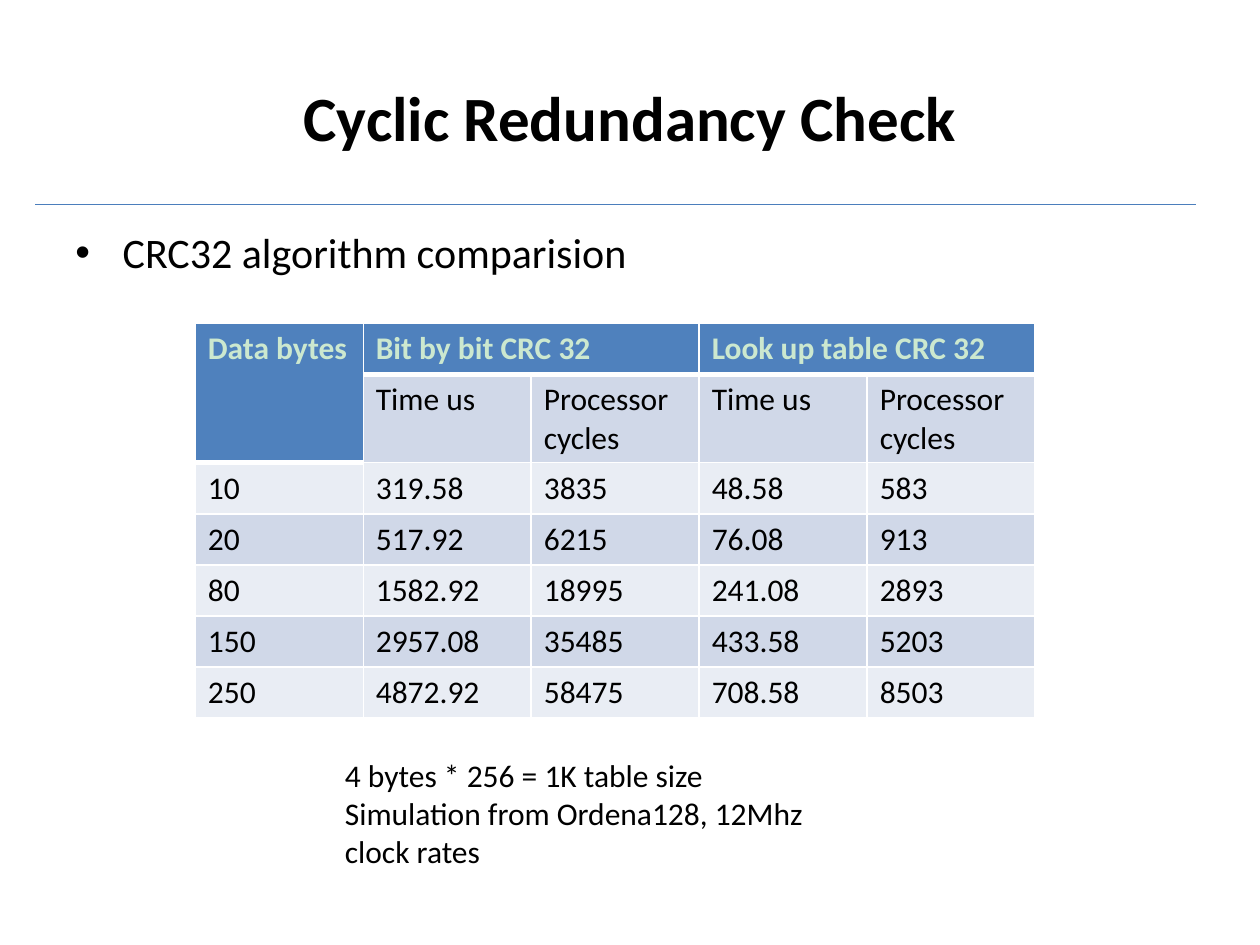
from dataclasses import dataclass

from lxml import etree
from pptx import Presentation
from pptx import util as u
from pptx.dml import color
from pptx.enum import shapes, text
from pptx.oxml import ns


@dataclass(frozen=True)
class Theme:
    """Colours, font and type sizes of the slide."""
    font: str = "Calibri"
    ink: str = "000000"
    rule: str = "4B7EBC"
    header: str = "4F81BD"
    header_ink: str = "CCE8CF"
    bands: tuple = ("E9EDF4", "D0D8E8")
    border: str = "FFFFFF"
    title: float = 36
    body: float = 24
    small: float = 18


def rgb(value):
    """Return a colour from its hex value."""
    return color.RGBColor.from_string(value)


class Deck:
    """Draw styled elements on the current slide."""

    def __init__(self, prs, theme):
        """Add a blank slide."""
        self.theme = theme
        self.s = prs.slides.add_slide(prs.slide_layouts[6])

    def run(self, p, content, size, ink=None, bold=False):
        """Add one styled run to a paragraph."""
        r = p.add_run()
        r.text = content
        r.font.name, r.font.size, r.font.bold = self.theme.font, u.Pt(size), bold
        r.font.color.rgb = rgb(ink or self.theme.ink)

    def text(self, box, lines, size, bold=False, align=None, anchor=None):
        """Add a text box with one paragraph per line."""
        tf = self.s.shapes.add_textbox(*map(u.Pt, box)).text_frame
        tf.word_wrap = True
        tf.vertical_anchor = anchor or text.MSO_ANCHOR.TOP
        for i, line in enumerate(lines):
            p = tf.add_paragraph() if i else tf.paragraphs[0]
            p.alignment = align or text.PP_ALIGN.LEFT
            self.run(p, line, size, bold=bold)
        return tf

    def bullets(self, box, lines, size, indent):
        """Add a bulleted list with a hanging indent."""
        for p in self.text(box, lines, size).paragraphs:
            p.space_before = u.Pt(size * 0.2)
            pPr = p._p.get_or_add_pPr()
            pPr.set("marL", str(u.Pt(indent)))
            pPr.set("indent", str(-u.Pt(indent)))
            etree.SubElement(pPr, ns.qn("a:buFont")).set("typeface", "Arial")
            etree.SubElement(pPr, ns.qn("a:buChar")).set("char", "•")

    def line(self, x1, y1, x2, y2, width):
        """Add a straight line."""
        sp = self.s.shapes.add_connector(
            shapes.MSO_CONNECTOR.STRAIGHT, *map(u.Pt, (x1, y1, x2, y2)))
        sp.line.color.rgb, sp.line.width = rgb(self.theme.rule), u.Pt(width)
        etree.SubElement(sp._element.spPr, ns.qn("a:effectLst"))

    def borders(self, cell, **widths):
        """Set the borders of a cell by side."""
        tcPr = cell._tc.get_or_add_tcPr()
        for side, width in widths.items():
            ln = etree.SubElement(tcPr, ns.qn(f"a:ln{side}"), w=str(u.Pt(width)))
            fill = etree.SubElement(ln, ns.qn("a:solidFill"))
            etree.SubElement(fill, ns.qn("a:srgbClr"), val=self.theme.border)

    def table(self, box, rows, heights, merges):
        """Add a banded table whose header includes the top left block."""
        t = self.theme
        table = self.s.shapes.add_table(len(rows), len(rows[0]), *map(u.Pt, box)).table
        for row, height in zip(table.rows, heights):
            row.height = u.Pt(height)
        for start, end in merges:
            table.cell(*start).merge(table.cell(*end))
        for i, row in enumerate(rows):
            for j, value in enumerate(row):
                cell = table.cell(i, j)
                head = i == 0 or (i, j) == (1, 0)
                below_head = i == (2 if j == 0 else 1)
                self.borders(cell, L=1, R=1, T=3 if below_head else 1, B=3 if head else 1)
                cell.fill.solid()
                cell.fill.fore_color.rgb = rgb(t.header if head else t.bands[i % 2])
                if value:
                    self.run(cell.text_frame.paragraphs[0], value, t.small,
                             t.header_ink if head else t.ink, head)


def main():
    """Build the slide and save it."""
    prs = Presentation()
    prs.slide_width, prs.slide_height = u.Pt(720), u.Pt(540)
    theme = Theme()
    deck = Deck(prs, theme)
    deck.text((36, 21.6, 648, 90), ["Cyclic Redundancy Check"], theme.title, bold=True,
              align=text.PP_ALIGN.CENTER, anchor=text.MSO_ANCHOR.MIDDLE)
    deck.bullets((36, 126, 648, 356.4), ["CRC32 algorithm comparision"], theme.body, 27)
    deck.line(20.2, 116.8, 683.4, 116.8, 0.75)
    deck.text((190, 428.4, 311.8, 72.7),
              ["4 bytes * 256 = 1K table size",
               "Simulation from Ordena128, 12Mhz clock rates"], theme.small)
    rows = [
        ("Data bytes", "Bit by bit CRC 32", "", "Look up table CRC 32", ""),
        ("",) + ("Time us", "Processor cycles") * 2,
        ("10", "319.58", "3835", "48.58", "583"),
        ("20", "517.92", "6215", "76.08", "913"),
        ("80", "1582.92", "18995", "241.08", "2893"),
        ("150", "2957.08", "35485", "433.58", "5203"),
        ("250", "4872.92", "58475", "708.58", "8503"),
    ]
    deck.table((111.6, 184.8, 480, 225.6), rows, [29.2, 50] + [29.2] * 5,
               [((0, 0), (1, 0)), ((0, 1), (0, 2)), ((0, 3), (0, 4))])
    prs.save("out.pptx")


main()
